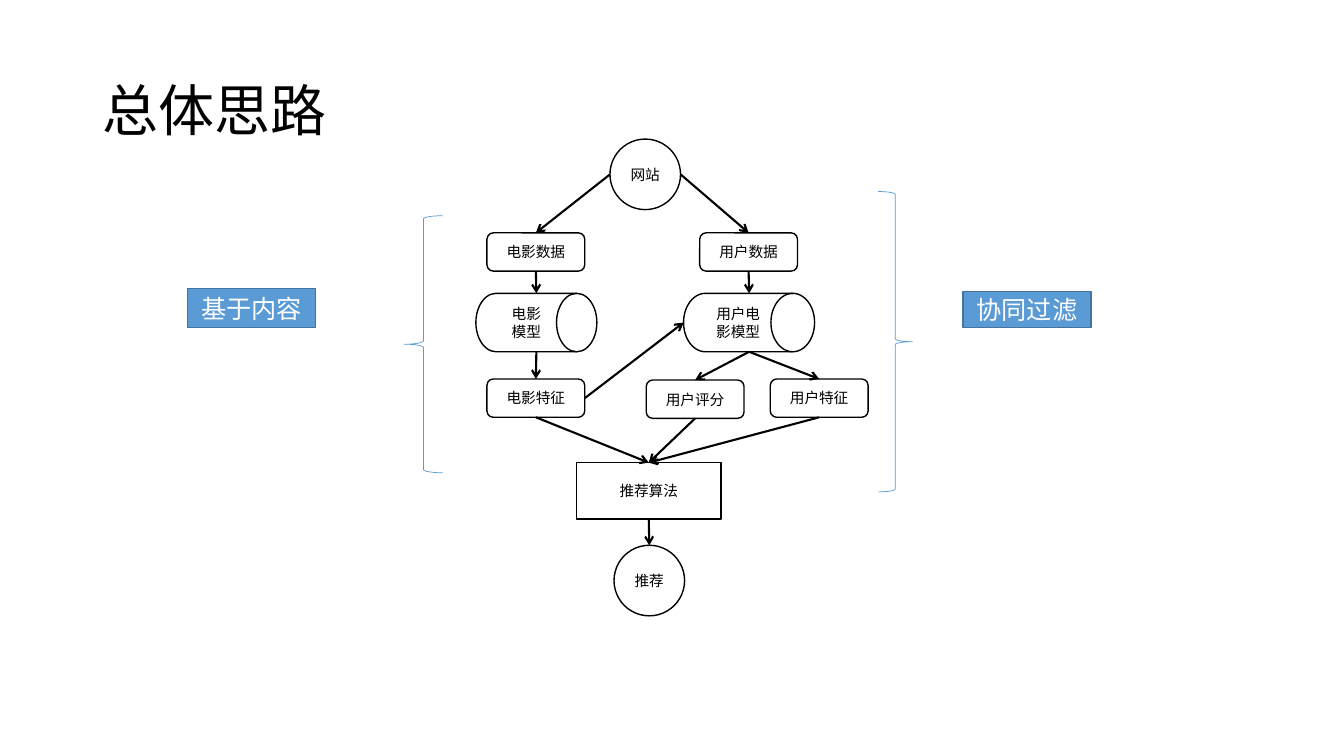
import pptx
import pptx.dml.color
import pptx.enum.shapes
import pptx.enum.text
import pptx.oxml
import pptx.util
from dataclasses import dataclass
from pptx.util import Inches

SHAPE = pptx.enum.shapes.MSO_SHAPE


@dataclass(frozen=True)
class Theme:
    font: str = "Calibri"
    black: str = "000000"
    white: str = "FFFFFF"
    blue: str = "5B9BD5"
    dark_blue: str = "43739E"
    title_size: float = 40
    label_size: float = 18
    node_size: float = 10.5
    outline: float = 1
    arrow: float = 1.5
    brace: float = 0.5


THEME = Theme()
BOX_SIZE = (0.97, 0.38)
CIRCLE_SIZE = (0.7, 0.7)

# name: (preset, left, top, width, height)
NODES = {
    "网站": (SHAPE.OVAL, 6.05, 1.38, *CIRCLE_SIZE),
    "电影数据": (SHAPE.ROUNDED_RECTANGLE, 4.83, 2.31, *BOX_SIZE),
    "用户数据": (SHAPE.ROUNDED_RECTANGLE, 6.94, 2.31, *BOX_SIZE),
    "电影模型": (SHAPE.FLOWCHART_DIRECT_ACCESS_STORAGE, 4.72, 2.91, 1.2, 0.58),
    "用户电影模型": (SHAPE.FLOWCHART_DIRECT_ACCESS_STORAGE, 6.78, 2.91, 1.3, 0.58),
    "电影特征": (SHAPE.ROUNDED_RECTANGLE, 4.83, 3.76, *BOX_SIZE),
    "用户评分": (SHAPE.ROUNDED_RECTANGLE, 6.41, 3.77, *BOX_SIZE),
    "用户特征": (SHAPE.ROUNDED_RECTANGLE, 7.64, 3.76, *BOX_SIZE),
    "推荐算法": (SHAPE.FLOWCHART_PROCESS, 5.72, 4.59, 1.43, 0.56),
    "推荐": (SHAPE.OVAL, 6.09, 5.41, *CIRCLE_SIZE),
}

# (from, side, to, side)
FLOWS = [
    ("网站", "left", "电影数据", "top"),
    ("网站", "right", "用户数据", "top"),
    ("电影数据", "bottom", "电影模型", "top"),
    ("用户数据", "bottom", "用户电影模型", "top"),
    ("电影模型", "bottom", "电影特征", "top"),
    ("电影特征", "right", "用户电影模型", "left"),
    ("用户电影模型", "bottom", "用户评分", "top"),
    ("用户电影模型", "bottom", "用户特征", "top"),
    ("电影特征", "bottom", "推荐算法", "top"),
    ("用户评分", "bottom", "推荐算法", "top"),
    ("用户特征", "bottom", "推荐算法", "top"),
    ("推荐算法", "bottom", "推荐", "top"),
]

# side: share of the width and of the height
SIDES = {"top": (0.5, 0), "bottom": (0.5, 1), "left": (0, 0.5), "right": (1, 0.5)}


def rgb(value):
    return pptx.dml.color.RGBColor.from_string(value)


def set_line(line, color, width):
    line.color.rgb = rgb(color)
    line.width = pptx.util.Pt(width)


def set_text(tf, text, size, color):
    tf.vertical_anchor = pptx.enum.text.MSO_ANCHOR.MIDDLE
    p = tf.paragraphs[0]
    p.text = text
    p.font.name = THEME.font
    p.font.size = pptx.util.Pt(size)
    p.font.color.rgb = rgb(color)
    return p


def add_title(s, text):
    tf = s.shapes.add_textbox(
        Inches(0.92), Inches(0.4), Inches(11.5), Inches(1.45)).text_frame
    tf.word_wrap = True
    set_text(tf, text, THEME.title_size, THEME.black).line_spacing = 0.9


def add_box(s, preset, box, text, size, fill, line, color):
    sp = s.shapes.add_shape(preset, *map(Inches, box))
    sp.shadow.inherit = False
    sp.fill.solid()
    sp.fill.fore_color.rgb = rgb(fill)
    set_line(sp.line, line, THEME.outline)
    p = set_text(sp.text_frame, text, size, color)
    p.alignment = pptx.enum.text.PP_ALIGN.CENTER
    # Only the drums are narrow enough to break their text.
    sp.text_frame.word_wrap = preset == SHAPE.FLOWCHART_DIRECT_ACCESS_STORAGE
    return sp


def add_label(s, text, box):
    add_box(s, SHAPE.RECTANGLE, box, text, THEME.label_size,
            THEME.blue, THEME.dark_blue, THEME.white)


def add_node(s, text, preset, *box):
    return add_box(s, preset, box, text, THEME.node_size,
                   THEME.white, THEME.black, THEME.black)


def add_brace(s, preset, *box):
    sp = s.shapes.add_shape(preset, *map(Inches, box))
    sp.shadow.inherit = False
    sp.fill.background()
    set_line(sp.line, THEME.blue, THEME.brace)


def side_point(sp, side):
    across, down = SIDES[side]
    return int(sp.left + across * sp.width), int(sp.top + down * sp.height)


def add_arrow(s, start, end):
    line = s.shapes.add_connector(
        pptx.enum.shapes.MSO_CONNECTOR.STRAIGHT, *start, *end)
    set_line(line.line, THEME.black, THEME.arrow)
    ln = line.line._get_or_add_ln()
    tail = pptx.oxml.xmlchemy.OxmlElement("a:tailEnd")
    tail.set("type", "arrow")
    ln.append(tail)
    ln.addnext(pptx.oxml.xmlchemy.OxmlElement("a:effectLst"))


def main():
    prs = pptx.Presentation()
    prs.slide_width, prs.slide_height = Inches(13.33), Inches(7.5)
    s = prs.slides.add_slide(prs.slide_layouts[6])

    add_title(s, "总体思路")
    add_label(s, "基于内容", (1.86, 2.86, 1.27, 0.39))
    add_label(s, "协同过滤", (9.55, 2.89, 1.27, 0.36))
    nodes = {text: add_node(s, text, *place) for text, place in NODES.items()}
    for source, out_side, target, in_side in FLOWS:
        add_arrow(s, side_point(nodes[source], out_side),
                  side_point(nodes[target], in_side))
    add_brace(s, SHAPE.LEFT_BRACE, 4.01, 2.14, 0.38, 2.55)
    add_brace(s, SHAPE.RIGHT_BRACE, 8.71, 1.9, 0.34, 2.98)

    prs.save("out.pptx")


if __name__ == "__main__":
    main()
